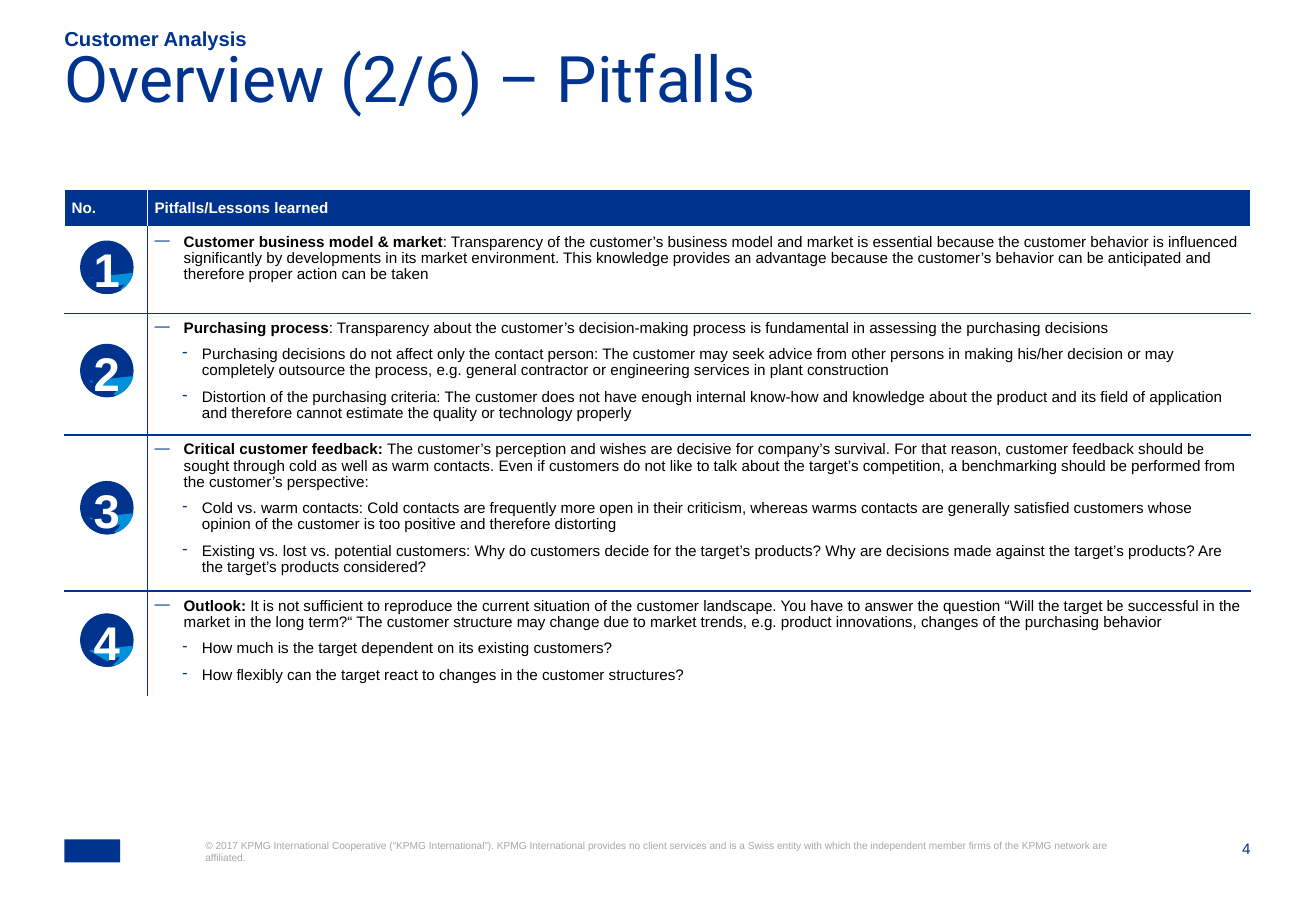
import pptx
import pptx.chart.data
import pptx.dml.color
import pptx.enum.shapes
import pptx.enum.text
import pptx.oxml
import pptx.oxml.ns
import pptx.util
from lxml import etree

Pt = pptx.util.Pt
SHAPE = pptx.enum.shapes.MSO_SHAPE
ALIGN = pptx.enum.text.PP_ALIGN
ANCHOR = pptx.enum.text.MSO_ANCHOR

NAVY, CYAN, WHITE, BLACK, GREY = "00338D", "0091DA", "FFFFFF", "000000", "A6A6A6"
LEFT, WIDTH = 38.2, 703
COLUMN_WIDTHS = [49.1, 653.9]
ROW_HEIGHTS = [22.3, 51.1, 62.6, 90.7, 62.6]
HEADERS = ["No.", "Pitfalls/Lessons learned"]

# Each pitfall: bold lead, explanation, sub-points
PITFALLS = [
    ("Customer business model & market",
     ": Transparency of the customer’s business model and market is essential because the customer behavior is influenced significantly by developments in its market environment. This knowledge provides an advantage because the customer’s behavior can be anticipated and therefore proper action can be taken",
     []),
    ("Purchasing process",
     ": Transparency about the customer’s decision-making process is fundamental in assessing the purchasing decisions",
     ["Purchasing decisions do not affect only the contact person: The customer may seek advice from other persons in making his/her decision or may completely outsource the process, e.g. general contractor or engineering services in plant construction",
      "Distortion of the purchasing criteria: The customer does not have enough internal know-how and knowledge about the product and its field of application and therefore cannot estimate the quality or technology properly"]),
    ("Critical customer feedback: ",
     "The customer’s perception and wishes are decisive for company’s survival. For that reason, customer feedback should be sought through cold as well as warm contacts. Even if customers do not like to talk about the target’s competition, a benchmarking should be performed from the customer’s perspective:",
     ["Cold vs. warm contacts: Cold contacts are frequently more open in their criticism, whereas warms contacts are generally satisfied customers whose opinion of the customer is too positive and therefore distorting",
      "Existing vs. lost vs. potential customers: Why do customers decide for the target’s products? Why are decisions made against the target’s products? Are the target’s products considered?"]),
    ("Outlook: ",
     "It is not sufficient to reproduce the current situation of the customer landscape. You have to answer the question “Will the target be successful in the market in the long term?“ The customer structure may change due to market trends, e.g. product innovations, changes of the purchasing behavior",
     ["How much is the target dependent on its existing customers?",
      "How flexibly can the target react to changes in the customer structures?"]),
]

# Each badge: top, upper chord start, mask corners (None = rectangle),
# lower chord box, rotation and angles
BADGES = [
    (142.6, 58.23, None, (3.6, 7.2, 24.5, 24.5), 315, (77.05, 166.04)),
    (203.8, 70.86, [(0, 0), (13.7, 0.7), (5.8, 22.3), (0, 22.3)],
     (3.6, 10.8, 16.6, 22.3), 306.1, (81.95, 166.04)),
    (285.1, 71, [(0, 0), (11.5, 0.7), (11.5, 21.6), (0, 22.3)],
     (5, 10.8, 16.6, 22.3), 298, (81.95, 166.04)),
    (363.6, 73.73, [(0, 0), (11.5, 0.7), (10.8, 16.6), (0, 17.3)],
     (3.6, 10.1, 19.4, 22.3), 301.1, (81.95, 168.3)),
]
BADGE_LEFT, BADGE_SIZE = 47.5, 31.7


def color(value):
    return pptx.dml.color.RGBColor.from_string(value)


def style_run(run, size, value, bold=False, font="Arial"):
    run.font.size = Pt(size)
    run.font.name = font
    run.font.bold = bold
    run.font.color.rgb = color(value)


def clear_insets(frame):
    frame.margin_left = frame.margin_right = 0
    frame.margin_top = frame.margin_bottom = 0


def add_text(shapes, box, text, size, value, bold=False, align=ALIGN.LEFT):
    shape = shapes.add_textbox(*map(Pt, box))
    frame = shape.text_frame
    frame.word_wrap = True
    clear_insets(frame)
    frame.text = text
    frame.paragraphs[0].alignment = align
    style_run(frame.paragraphs[0].runs[0], size, value, bold)
    return shape


def paint(shape, value):
    shape.shadow.inherit = False
    shape.fill.solid()
    shape.fill.fore_color.rgb = color(value)
    shape.line.fill.background()


def set_border(cell, side, value):
    line = etree.SubElement(cell._tc.get_or_add_tcPr(), pptx.oxml.ns.qn(f"a:ln{side}"), w=str(Pt(1)))
    fill = etree.SubElement(line, pptx.oxml.ns.qn("a:solidFill"))
    etree.SubElement(fill, pptx.oxml.ns.qn("a:srgbClr"), val=value)


def add_bullet(paragraph, level):
    character, margin, indent = [("—", 17.3, -17.3), ("-", 28.1, -11.5)][level]
    paragraph.level = level
    properties = paragraph._p.get_or_add_pPr()
    properties.set("marL", str(Pt(margin)))
    properties.set("indent", str(Pt(indent)))
    bullet_color = etree.SubElement(properties, pptx.oxml.ns.qn("a:buClr"))
    etree.SubElement(bullet_color, pptx.oxml.ns.qn("a:srgbClr"), val=NAVY)
    etree.SubElement(properties, pptx.oxml.ns.qn("a:buChar"), char=character)
    paragraph.space_after = Pt(6)


def add_heading(slide, left, top, width):
    add_text(slide.shapes, (left, top, width, 13.7), "Customer Analysis", 12, NAVY, True)
    title = slide.shapes.title
    title.left, title.top, title.width, title.height = map(Pt, (left, top + 19.4, width, 56.9))
    frame = title.text_frame
    frame.text = "Overview (2/6) – Pitfalls"
    frame.vertical_anchor = ANCHOR.TOP
    frame.auto_size = pptx.enum.text.MSO_AUTO_SIZE.NONE
    clear_insets(frame)
    paragraph = frame.paragraphs[0]
    paragraph.alignment = ALIGN.LEFT
    paragraph.line_spacing = 0.7
    style_run(paragraph.runs[0], 38, NAVY, font="Roboto")


def fill_pitfall(frame, lead, explanation, points):
    paragraph = frame.paragraphs[0]
    add_bullet(paragraph, 0)
    for text, bold in ((lead, True), (explanation, False)):
        run = paragraph.add_run()
        run.text = text
        style_run(run, 9, BLACK, bold)
    for point in points:
        paragraph = frame.add_paragraph()
        paragraph.text = point
        add_bullet(paragraph, 1)
        style_run(paragraph.runs[0], 9, BLACK)


def add_pitfall_table(slide, left, top):
    box = (left, top, sum(COLUMN_WIDTHS), sum(ROW_HEIGHTS))
    table = slide.shapes.add_table(len(ROW_HEIGHTS), 2, *map(Pt, box)).table
    table.horz_banding = False
    for column, width in zip(table.columns, COLUMN_WIDTHS):
        column.width = Pt(width)
    for row, height in zip(table.rows, ROW_HEIGHTS):
        row.height = Pt(height)

    # Text
    for index, header in enumerate(HEADERS):
        cell = table.cell(0, index)
        cell.text = header
        cell.vertical_anchor = ANCHOR.MIDDLE
        style_run(cell.text_frame.paragraphs[0].runs[0], 9, WHITE, True)
    for index, pitfall in enumerate(PITFALLS, 1):
        fill_pitfall(table.cell(index, 1).text_frame, *pitfall)

    # Margins, borders and fills
    last = len(ROW_HEIGHTS) - 1
    for index in range(last + 1):
        divider = NAVY if index else WHITE
        above = NAVY if index > 1 else WHITE
        below = NAVY if 0 < index < last else WHITE
        for position in range(2):
            cell = table.cell(index, position)
            cell.margin_left = cell.margin_right = Pt(4.3)
            cell.margin_top = cell.margin_bottom = Pt(4.3)
            sides = {"L": divider if position else WHITE, "R": WHITE if position else divider,
                     "T": above, "B": below}
            for side, value in sides.items():
                set_border(cell, side, value)
            cell.fill.solid()
            cell.fill.fore_color.rgb = color(WHITE if index else NAVY)
            for paragraph in cell.text_frame.paragraphs:
                paragraph.line_spacing = 0.95


def add_badge(slide, number, left, top, upper_start, corners, lower_box, rotation, lower_angles):
    shapes = slide.shapes.add_group_shape().shapes

    def add_part(kind, box, value, angles=(), turn=0):
        x, y, width, height = box
        part = shapes.add_shape(kind, Pt(left + x), Pt(top + y), Pt(width), Pt(height))
        for index, angle in enumerate(angles):
            part.adjustments[index] = angle * 0.6
        part.rotation = turn
        paint(part, value)

    # Disc with a light long shadow
    disc = (0, 0, BADGE_SIZE, BADGE_SIZE)
    add_part(SHAPE.OVAL, disc, NAVY)
    add_part(SHAPE.CHORD, (0.4, -0.3, BADGE_SIZE, BADGE_SIZE), CYAN, (13.23, 154.41))
    add_part(SHAPE.CHORD, (0.4, 0, BADGE_SIZE, BADGE_SIZE), NAVY, (upper_start, 166.04))
    if corners is None:
        add_part(SHAPE.RECTANGLE, (7.2, 3.6, 10.8, 22.3), NAVY)
    else:
        points = [(Pt(left + 7.2 + x), Pt(top + 3.6 + y)) for x, y in corners]
        builder = shapes.build_freeform(*points[0])
        builder.add_line_segments(points[1:])
        paint(builder.convert_to_shape(), NAVY)
    add_part(SHAPE.CHORD, lower_box, NAVY, lower_angles, rotation)

    # Number
    label = add_text(shapes, (left + 0.7, top, 30.2, 33.8), str(number), 28, WHITE, True, ALIGN.CENTER)
    label.text_frame.word_wrap = False


def add_footer(slide, left, top, width):
    emblem = slide.shapes.add_shape(SHAPE.RECTANGLE, Pt(left), Pt(top), Pt(33.1), Pt(13.7))
    paint(emblem, NAVY)
    add_text(slide.shapes, (left + 83.5, top, 539.3, 29.5),
             "© 2017 KPMG International Cooperative (“KPMG International”). KPMG International provides no client services and is a Swiss entity with which the independent member firms of the KPMG network are affiliated.",
             6, GREY)
    add_text(slide.shapes, (left + width - 31, top, 31, 11.5), "4", 9, NAVY, align=ALIGN.RIGHT)


def main():
    presentation = pptx.Presentation()
    presentation.slide_width, presentation.slide_height = Pt(780), Pt(540)
    slide = presentation.slides.add_slide(presentation.slide_layouts[5])
    add_heading(slide, LEFT, 15.8, WIDTH)
    add_pitfall_table(slide, LEFT, 112.3)
    for number, (top, *parts) in enumerate(BADGES, 1):
        add_badge(slide, number, BADGE_LEFT, top, *parts)
    add_footer(slide, LEFT, 497.5, WIDTH)
    presentation.save("out.pptx")


if __name__ == "__main__":
    main()
